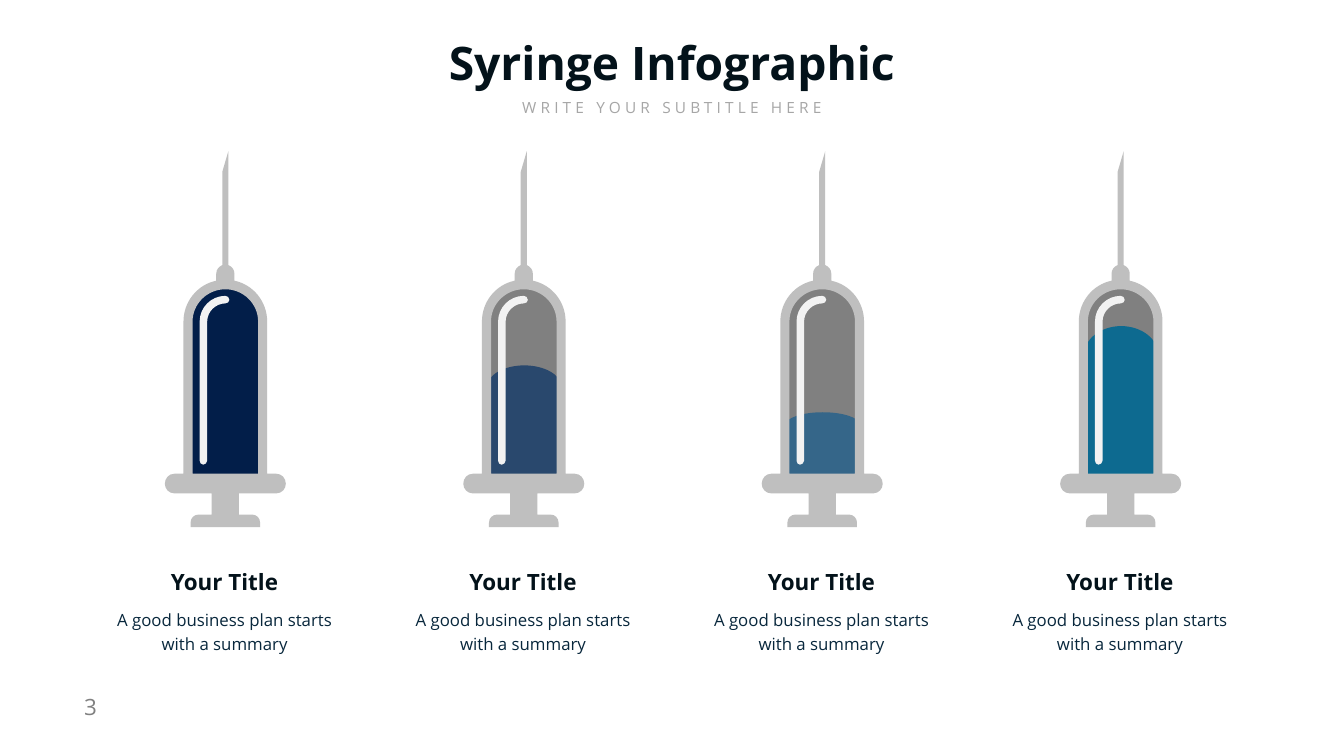
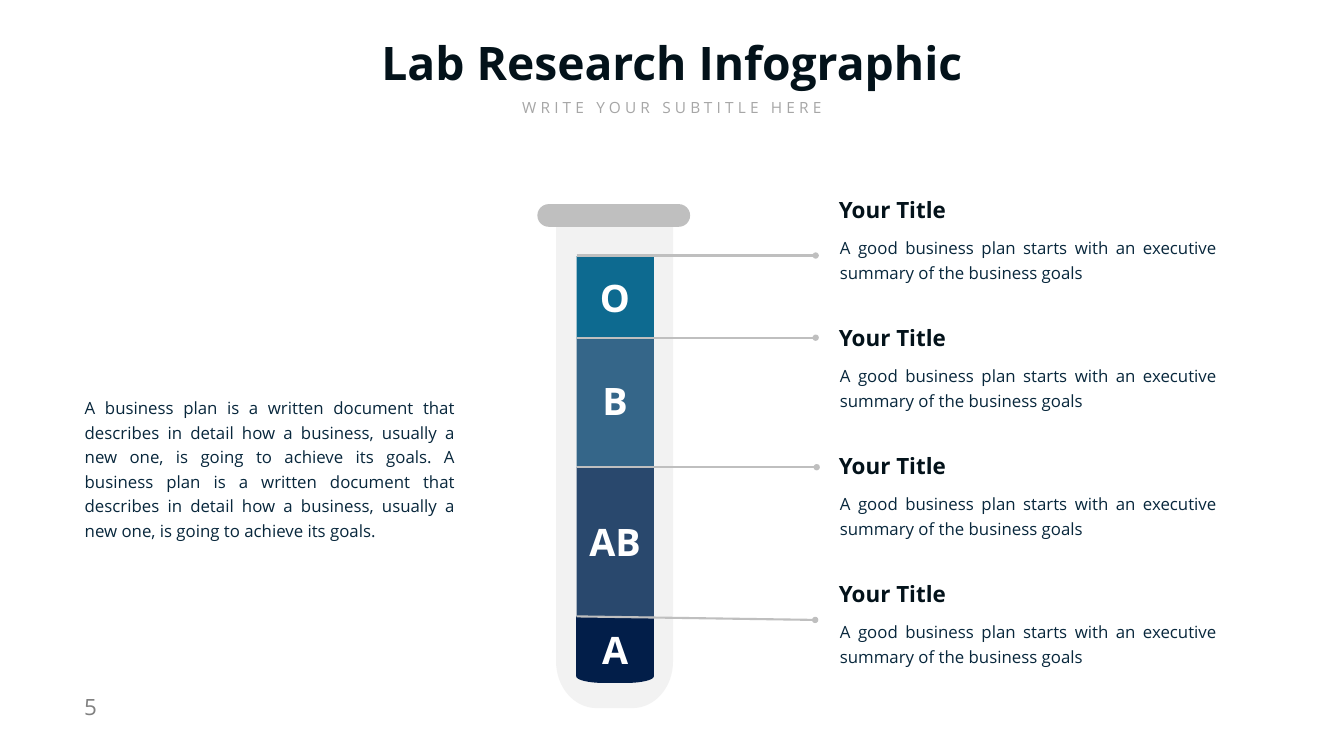
from lxml import etree
from pptx import Presentation
from pptx.dml.color import RGBColor
from pptx.enum.shapes import MSO_CONNECTOR, MSO_SHAPE
from pptx.enum.text import MSO_ANCHOR, MSO_AUTO_SIZE, PP_ALIGN
from pptx.oxml.ns import qn
from pptx.util import Inches, Pt

LEFT, MID, JUST = PP_ALIGN.LEFT, PP_ALIGN.CENTER, PP_ALIGN.JUSTIFY
TOP, CENTRE = MSO_ANCHOR.TOP, MSO_ANCHOR.MIDDLE
GROW = MSO_AUTO_SIZE.SHAPE_TO_FIT_TEXT
STRAIGHT = MSO_CONNECTOR.STRAIGHT
RECT, ROUND = MSO_SHAPE.RECTANGLE, MSO_SHAPE.ROUNDED_RECTANGLE

INK = RGBColor(0x03, 0x12, 0x1A)
BODY = RGBColor(0x08, 0x27, 0x3C)
NAVY = RGBColor(0x02, 0x1E, 0x49)
BLUE = RGBColor(0x29, 0x48, 0x6D)
STEEL = RGBColor(0x35, 0x66, 0x89)
TEAL = RGBColor(0x0D, 0x6A, 0x90)
GREY = RGBColor(0x80, 0x80, 0x80)
PALE = RGBColor(0xA6, 0xA6, 0xA6)
SILVER = RGBColor(0xBF, 0xBF, 0xBF)
MIST = RGBColor(0xF2, 0xF2, 0xF2)
WHITE = RGBColor(0xFF, 0xFF, 0xFF)

# Text styles
TITLE = {"size": Pt(66), "bold": True, "color": INK}
SUB = {"size": Pt(22), "color": PALE}
PAGE = {"size": Pt(32), "color": GREY}
HEAD = {"size": Pt(32), "bold": True, "color": INK}
PLAIN = {"size": Pt(24), "color": BODY}
MARK = {"size": Pt(54), "bold": True, "color": WHITE}

# Right half of the syringe barrel: (x from axis, y), or a cubic of six numbers
BARREL = [(.06, 3), (.06, 5.26), (.13, 5.29, .18, 5.35, .18, 5.43),
          (.18, 5.57), (.56, 5.65, .83, 5.99, .83, 6.38), (.83, 9.4),
          (1.01, 9.4), (1.12, 9.4, 1.2, 9.49, 1.2, 9.6),
          (1.2, 9.7, 1.12, 9.79, 1.01, 9.79), (.27, 9.79), (.27, 10.21),
          (.53, 10.21), (.62, 10.21, .69, 10.28, .69, 10.37), (.69, 10.46)]
GLARE = [(-.44, 9.22), (-.48, 9.22, -.51, 9.18, -.51, 9.14), (-.51, 6.38),
         (-.51, 6.1, -.28, 5.87, 0, 5.87), (.04, 5.87, .08, 5.9, .08, 5.95),
         (.08, 5.99, .04, 6.02, 0, 6.02), (-.19, 6.02, -.36, 6.18, -.36, 6.38),
         (-.36, 9.14), (-.36, 9.18, -.4, 9.22, -.44, 9.22)]
TUBE = [(1.16, 4.5), (1.16, 13.12), (1.16, 13.64, .8, 14.05, .35, 14.05)]
TIP = [(.77, 12.23), (.77, 13.42), (.77, 13.49, .53, 13.55, .23, 13.55)]


# Outlines
def flip(step):
    return tuple(v if i % 2 else -v for i, v in enumerate(step))


def mirror(steps):
    """Follow the right half, then the left half back to the start."""
    ends = [step[-2:] for step in steps]
    ring = steps + [flip(ends[-1])]
    for step, end in zip(steps[:0:-1], ends[-2::-1]):
        ring.append(flip(step[2:4] + step[:2] + end if len(step) == 6 else end))
    return ring


def dome(top, side, base, wide):
    bend = .45
    return mirror([(0, top), (wide * (1 - bend), top, wide,
                              top + (side - top) * bend, wide, side), (wide, base)])


def bend_lines(shape, rings):
    """Join the three lines of each cubic step into one curve."""
    lines = iter(list(shape._element.iter(qn("a:lnTo"))))
    for ring in rings:
        for step in ring[1:]:
            first, *rest = [next(lines) for _ in range(len(step) // 2)]
            if rest:
                first.tag = qn("a:cubicBezTo")
            for line in rest:
                first.append(line[0])
                line.getparent().remove(line)


# Elements
def paint(shape, color):
    shape.shadow.inherit = False
    shape.fill.solid()
    shape.fill.fore_color.rgb = color
    shape.line.fill.background()


def free(slide, axis, color, *rings):
    form = None
    for ring in rings:
        pts = [(Inches(axis + step[i]), Inches(step[i + 1]))
               for step in ring for i in range(0, len(step), 2)]
        if form is None:
            form = slide.shapes.build_freeform(*pts[0], scale=1.0)
        else:
            form.move_to(*pts[0])
        form.add_line_segments(pts[1:], close=True)
    shape = form.convert_to_shape()
    bend_lines(shape, rings)
    paint(shape, color)


def block(slide, kind, box, color):
    shape = slide.shapes.add_shape(kind, *map(Inches, box))
    paint(shape, color)
    return shape


def text(slide, box, words, style, align=LEFT, anchor=TOP, wrap=False, gap=0):
    frame = slide.shapes.add_textbox(*map(Inches, box)).text_frame
    setup = {"word_wrap": wrap, "auto_size": GROW, "vertical_anchor": anchor}
    if wrap:
        setup.update(margin_left=Inches(.24), margin_right=Inches(.24),
                     margin_top=Inches(.12), margin_bottom=Inches(.12))
    for key, val in setup.items():
        setattr(frame, key, val)
    para = frame.paragraphs[0]
    para.alignment = align
    if wrap:
        para.line_spacing = Pt(35)
    run = para.add_run()
    run.text = words
    run.font.name = "Open Sans"
    for key, val in style.items():
        if key == "color":
            run.font.color.rgb = val
        else:
            setattr(run.font, key, val)
    if gap:
        run._r.get_or_add_rPr().set("spc", str(gap * 100))


def lead(slide, x1, y1, x2, y2):
    """Draw a leader line with a dot at its far end."""
    line = slide.shapes.add_connector(STRAIGHT, *map(Inches, (x1, y1, x2, y2)))
    line.line.color.rgb = SILVER
    line.line.width = Pt(3)
    etree.SubElement(line.line._get_or_add_ln(), qn("a:tailEnd"), type="oval")
    etree.SubElement(line._element.spPr, qn("a:effectLst"))


def start(deck, title, left, wide, page):
    """Add a slide with the shared title, subtitle and page number."""
    slide = deck.slides.add_slide(deck.slide_layouts[6])
    text(slide, (1.57, 13.7, .85, .64), page, PAGE, gap=3)
    text(slide, (left, .64, wide, 1.21), title, TITLE, MID)
    text(slide, (10.24, 1.9, 6.18, .47), "WRITE YOUR SUBTITLE HERE", SUB, MID, gap=6)
    return slide


def syringe(slide, axis, back, color, top, side):
    free(slide, axis, back, dome(5.64, 6.38, 9.44, .74))
    free(slide, axis + .01, color, dome(top, side, 9.45, .74))
    free(slide, axis, MIST, GLARE)
    shell = mirror(BARREL)
    shell[-1] = (-.06, 3.41)  # slanted needle point
    free(slide, axis, SILVER, shell, dome(5.74, 6.38, 9.4, .65))


# Slides
def needles(deck):
    slide = start(deck, "Syringe Infographic", 8.76, 9.14, "3")
    fills = [(INK, NAVY, 5.64, 6.38), (GREY, BLUE, 7.25, 7.68),
             (GREY, STEEL, 8.18, 8.43), (GREY, TEAL, 6.47, 7.05)]
    for i, fill in enumerate(fills):
        step = 5.92 * i
        syringe(slide, 4.47 + step, *fill)
        text(slide, (3.28 + step, 11.21, 2.35, .64), "Your Title", HEAD, MID, CENTRE)
        text(slide, (1.81 + step, 11.89, 5.29, 1.18),
             "A good business plan starts with a summary", PLAIN, MID, wrap=True)


def lab(deck):
    slide = start(deck, "Lab Research Infographic", 7.41, 11.84, "5")

    # Test tube
    free(slide, 12.19, MIST, mirror(TUBE))
    free(slide, 12.2, NAVY, mirror(TIP))
    for top, high, color in [(9.27, 2.96, BLUE), (6.73, 2.53, STEEL), (5.08, 1.65, TEAL)]:
        block(slide, RECT, (11.44, top, 1.53, high), color)
    block(slide, ROUND, (10.66, 4.05, 3.03, .45), SILVER).adjustments[0] = .5

    # Leader lines
    for y1, x2, y2 in [(6.7, 16.18, 6.7), (9.27, 16.2, 9.27),
                       (12.23, 16.17, 12.3), (5.07, 16.18, 5.07)]:
        lead(slide, 11.44, y1, x2, y2)

    # Notes beside the tube
    for i in range(4):
        top = 3.83 + 2.54 * i
        text(slide, (16.54, top, 2.35, .64), "Your Title", HEAD, anchor=CENTRE)
        text(slide, (16.42, top + .68, 7.95, 1.18),
             "A good business plan starts with an executive summary of the business goals",
             PLAIN, JUST, wrap=True)

    # Blood groups
    for word, top, wide in [("O", 5.4, .81), ("B", 7.44, .71),
                            ("AB", 10.24, 1.23), ("A", 12.38, .72)]:
        text(slide, (12.2 - wide / 2, top, wide, 1.01), word, MARK, MID, CENTRE)

    plan = ("A business plan is a written document that describes in detail how "
            "a business, usually a new one, is going to achieve its goals.")
    text(slide, (1.44, 7.69, 7.82, 3.15), f"{plan} {plan}", PLAIN, JUST, CENTRE, wrap=True)


def main():
    deck = Presentation()
    deck.slide_width, deck.slide_height = Inches(26.66), Inches(15)
    needles(deck)
    lab(deck)
    deck.save("out.pptx")


if __name__ == "__main__":
    main()
